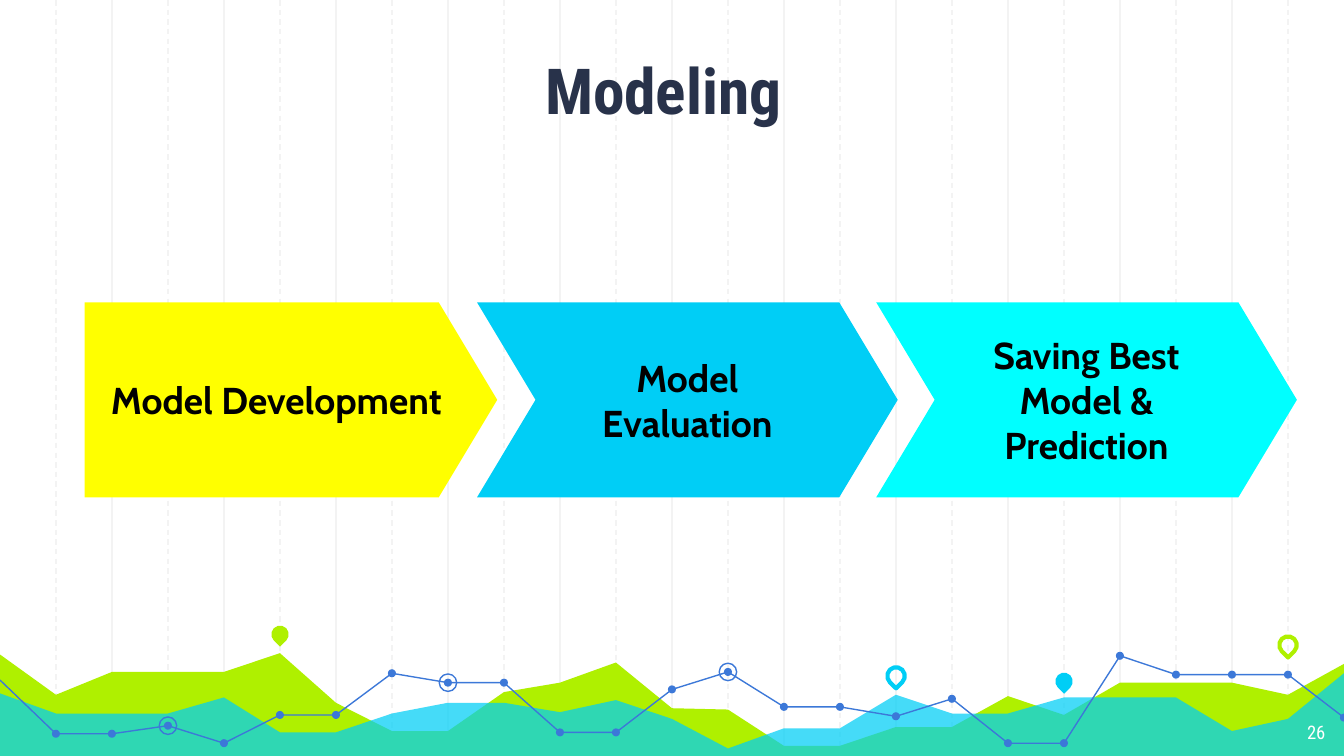
import pptx
import pptx.util
import pptx.dml.color
import pptx.enum.dml
import pptx.enum.shapes
import pptx.enum.text
import pptx.oxml.ns
import lxml.etree

Inches, Pt = pptx.util.Inches, pptx.util.Pt
RGBColor = pptx.dml.color.RGBColor
Kind = pptx.enum.shapes.MSO_SHAPE
Align = pptx.enum.text.PP_ALIGN
Anchor = pptx.enum.text.MSO_ANCHOR
qn = pptx.oxml.ns.qn

WIDE = 10
HIGH = WIDE * 9 / 16
STEPS = 24
GREY = RGBColor(0xF3, 0xF3, 0xF3)
LIME = RGBColor(0xAF, 0xF0, 0x00)
SKY = RGBColor(0x00, 0xCE, 0xF6)
BLUE = RGBColor(0x3C, 0x78, 0xD8)
NAVY = RGBColor(0x28, 0x32, 0x4A)
YELLOW = RGBColor(0xFF, 0xFF, 0x00)
CYAN = RGBColor(0x00, 0xFF, 0xFF)
BLACK = RGBColor(0x00, 0x00, 0x00)
WHITE = RGBColor(0xFF, 0xFF, 0xFF)

# Depth of each curve below the top of the wave band, one value per grid step
GREEN_YS = [.27, .57, .4, .4, .4, .26, .63, .84, .84, .55, .48, .33, .67,
            .68, .95, .95, .81, .81, .58, .72, .48, .48, .48, .57, .34]
SKY_YS = [.56, .71, .71, .71, .59, .85, .85, .71, .63, .63, .7, .61, .75,
          .97, .82, .82, .57, .71, .71, .59, .59, .59, .84, .75, .41]
LINE_YS = [.46, .86, .86, .8, .93, .72, .72, .41, .48, .48, .85, .85, .53,
           .4, .66, .66, .73, .6, .93, .93, .28, .42, .42, .42, .74]
CUTS = [0, 11, 20, 24]
RINGS = [3, 8, 13]
# Grid step, depth, colour, filled or hollow
PINS = [(5, .12, LIME, True), (16, .43, SKY, False),
        (19, .47, SKY, True), (23, .2, LIME, False)]


def paint(shape, fill=None, line=None, width=0.75):
    shape.shadow.inherit = False
    if fill is None:
        shape.fill.background()
    else:
        shape.fill.solid()
        shape.fill.fore_color.rgb = fill
    if line is None:
        shape.line.fill.background()
    else:
        shape.line.color.rgb = line
        shape.line.width = Pt(width)
    return shape


def write(shape, text, size=20, font="Cabin", color=BLACK, bold=False,
          align=Align.CENTER, anchor=Anchor.MIDDLE):
    frame = shape.text_frame
    frame.word_wrap = True
    frame.vertical_anchor = anchor
    frame.margin_left = frame.margin_right = Inches(0.1)
    frame.margin_top = frame.margin_bottom = Inches(0.1)
    frame.text = text
    for para in frame.paragraphs:
        para.alignment = align
        for run in para.runs:
            run.font.name = font
            run.font.size = Pt(size)
            run.font.bold = bold
            run.font.color.rgb = color


def label(slide, box, text, **style):
    write(slide.shapes.add_textbox(*map(Inches, box)), text, **style)


def trace(slide, points, close):
    spots = [(Inches(x), Inches(y)) for x, y in points]
    build = slide.shapes.build_freeform(*spots[0])
    build.add_line_segments(spots[1:], close=close)
    return build.convert_to_shape()


def round_mark(slide, kind, spot, size):
    x, y = spot
    return slide.shapes.add_shape(kind, Inches(x - size / 2), Inches(y - size / 2),
                                  Inches(size), Inches(size))


def draw_grid(slide, box):
    left, top, wide, high = box
    for step in range(1, STEPS):
        x = Inches(left + step * wide / STEPS)
        rule = slide.shapes.add_connector(
            pptx.enum.shapes.MSO_CONNECTOR.STRAIGHT,
            x, Inches(top), x, Inches(top + high))
        rule.line.color.rgb = GREY
        rule.line.width = Pt(0.75)
        if step % 2:
            rule.line.dash_style = pptx.enum.dml.MSO_LINE.DASH
        lxml.etree.SubElement(rule._element.spPr, qn("a:effectLst"))


def draw_waves(slide, box):
    left, top, wide, high = box

    def place(step, depth):
        return left + step * wide / STEPS, top + depth

    # Filled areas, the front one see-through
    base = [place(STEPS, high), place(0, high)]
    for depths, color in ((GREEN_YS, LIME), (SKY_YS, SKY)):
        points = [place(*pair) for pair in enumerate(depths)]
        area = paint(trace(slide, points + base, True), color)
    tint = area._element.spPr.find(qn("a:solidFill"))[0]
    lxml.etree.SubElement(tint, qn("a:alpha")).set("val", "73000")

    # Line in three joined parts, with a dot at each step
    spots = [place(*pair) for pair in enumerate(LINE_YS)]
    for start, end in zip(CUTS, CUTS[1:]):
        paint(trace(slide, spots[start:end + 1], False), line=BLUE)
    for spot in spots[1:]:
        paint(round_mark(slide, Kind.OVAL, spot, 0.06), BLUE)
    for step in RINGS:
        paint(round_mark(slide, Kind.OVAL, spots[step], 0.13), line=BLUE)

    # Map pins
    for step, depth, color, solid in PINS:
        pin = round_mark(slide, Kind.TEAR, place(step, depth), 0.13)
        pin.rotation = 135
        if solid:
            paint(pin, color)
        else:
            paint(pin, line=color, width=2.25)


def draw_flow(slide, box):
    left, top, wide, high = box
    pitch, span = 2.97, 3.13
    last = wide - span
    stages = [
        (Kind.PENTAGON, 0, 3.07, YELLOW, "Model Development"),
        (Kind.CHEVRON, last - pitch, span, SKY, "Model\nEvaluation"),
        (Kind.CHEVRON, last, span, CYAN, "Saving Best Model & Prediction"),
    ]
    for kind, x, size, color, text in stages:
        arrow = slide.shapes.add_shape(kind, Inches(left + x), Inches(top),
                                       Inches(size), Inches(high))
        arrow.adjustments[0] = 0.3
        paint(arrow, color)
        write(arrow, text, bold=True)


def main():
    deck = pptx.Presentation()
    deck.slide_width, deck.slide_height = Inches(WIDE), Inches(HIGH)
    slide = deck.slides.add_slide(deck.slide_layouts[6])
    draw_grid(slide, (0, 0, WIDE, HIGH))
    draw_waves(slide, (0, 4.6, WIDE, HIGH - 4.6))
    label(slide, (1.11, 0.27, 7.65, 0.78), "Modeling", size=34,
          font="Roboto Condensed", color=NAVY, bold=True, anchor=Anchor.BOTTOM)
    draw_flow(slide, (0.63, 2.25, 9.02, 1.45))
    label(slide, (9.36, 5.28, 0.6, 0.35), "26", size=10, font="Roboto Condensed",
          color=WHITE, align=Align.RIGHT, anchor=Anchor.TOP)
    deck.save("out.pptx")


if __name__ == "__main__":
    main()
